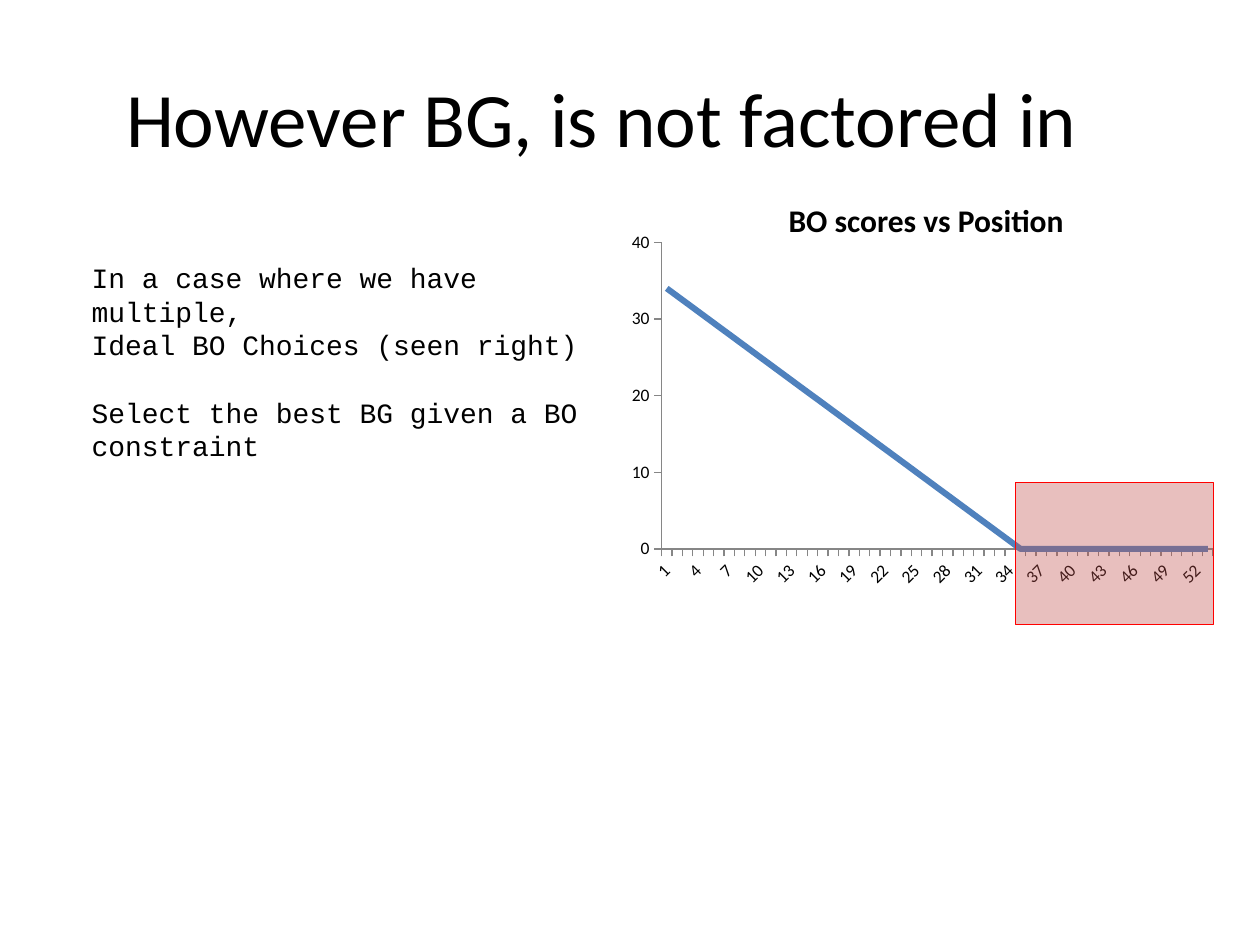
import dataclasses

import pptx
import pptx.chart.data
import pptx.dml.color
import pptx.enum.chart
import pptx.enum.shapes
import pptx.enum.text
import pptx.oxml
import pptx.oxml.ns
import pptx.util
from pptx.util import Inches


@dataclasses.dataclass(frozen=True)
class Theme:
    text: str = "000000"
    series: str = "4F81BD"
    axis: str = "868686"
    zone_fill: str = "C0504D"
    zone_line: str = "FF0000"
    title_size: int = 44
    heading_size: int = 18
    body_size: int = 16
    chart_size: int = 10
    font: str = "Calibri"
    body_font: str = "Courier New"


theme = Theme()


def color(code):
    return pptx.dml.color.RGBColor.from_string(code)


def write(frame, lines, size, font=theme.font, bold=False, align=None, gap_before=()):
    """Fill a text frame; gap_before lists the line numbers set off by one line of space."""
    for number, line in enumerate(lines):
        para = frame.paragraphs[0] if number == 0 else frame.add_paragraph()
        para.alignment = align
        if number in gap_before:
            para.space_before = pptx.util.Pt(size * 1.2)
        span = para.add_run()
        span.text = line
        span.font.size = pptx.util.Pt(size)
        span.font.name = font
        span.font.bold = bold
        span.font.color.rgb = color(theme.text)


deck = pptx.Presentation()
deck.slide_width, deck.slide_height = Inches(10), Inches(7.5)
page = deck.slides.add_slide(deck.slide_layouts.get_by_name("Title Only"))

# Title
title = page.shapes.title
title.left, title.top, title.width, title.height = (
    Inches(0.5), Inches(0.3), Inches(9), Inches(1.25))
title.text_frame.vertical_anchor = pptx.enum.text.MSO_ANCHOR.MIDDLE
write(title.text_frame, ["However BG, is not factored in\t"], theme.title_size,
      align=pptx.enum.text.PP_ALIGN.CENTER)

# Score falls by one per position until it reaches zero
positions = range(1, 54)
data = pptx.chart.data.CategoryChartData()
data.categories = [str(position) for position in positions]
data.add_series("Series 1", [max(35 - position, 0) for position in positions])
chart = page.shapes.add_chart(
    pptx.enum.chart.XL_CHART_TYPE.LINE,
    Inches(4.89), Inches(1.72), Inches(4.94), Inches(2.96), data).chart
chart.has_legend = False
chart.has_title = False
chart.font.size = pptx.util.Pt(theme.chart_size)
chart.font.name = theme.font
chart.font.color.rgb = color(theme.text)
chart.plots[0].vary_by_categories = False

series = chart.plots[0].series[0]
series.smooth = False
series.marker.style = pptx.enum.chart.XL_MARKER_STYLE.NONE
series.format.line.color.rgb = color(theme.series)
series.format.line.width = pptx.util.Pt(3.5)

for axis in (chart.category_axis, chart.value_axis):
    axis.has_major_gridlines = False
    axis.major_tick_mark = pptx.enum.chart.XL_TICK_MARK.OUTSIDE
    axis.format.line.color.rgb = color(theme.axis)
    axis.tick_labels.font.size = pptx.util.Pt(theme.chart_size)
chart.value_axis.minimum_scale = 0
chart.value_axis.maximum_scale = 40
chart.value_axis.major_unit = 10
label_body = chart.category_axis._element.find(".//" + pptx.oxml.ns.qn("a:bodyPr"))
label_body.set("rot", str(-45 * 60000))

plot_area = chart._chartSpace.chart.plotArea
for old_layout in plot_area.findall(pptx.oxml.ns.qn("c:layout")):
    plot_area.remove(old_layout)
plot_area.insert(0, pptx.oxml.parse_xml(
    f'<c:layout {pptx.oxml.ns.nsdecls("c")}><c:manualLayout>'
    '<c:layoutTarget val="inner"/><c:xMode val="edge"/><c:yMode val="edge"/>'
    '<c:x val="0.073"/><c:y val="0.069"/><c:w val="0.886"/><c:h val="0.822"/>'
    '</c:manualLayout></c:layout>'))

# Explanation on the left
box = page.shapes.add_textbox(Inches(0.63), Inches(2.02), Inches(4.3), Inches(1.45))
box.text_frame.word_wrap = True
write(box.text_frame,
      ["In a case where we have multiple,",
       "Ideal BO Choices (seen right)",
       "Select the best BG given a BO constraint"],
      theme.body_size, font=theme.body_font, gap_before=(2,))

# Chart heading
heading = page.shapes.add_textbox(Inches(6.16), Inches(1.55), Inches(2.42), Inches(0.4))
heading.text_frame.word_wrap = False
write(heading.text_frame, ["BO scores vs Position"], theme.heading_size, bold=True)

# Translucent zone over the zero scores
zone = page.shapes.add_shape(
    pptx.enum.shapes.MSO_SHAPE.RECTANGLE,
    Inches(8.06), Inches(3.83), Inches(1.57), Inches(1.13))
zone.shadow.inherit = False
zone.fill.solid()
zone.fill.fore_color.rgb = color(theme.zone_fill)
zone.line.color.rgb = color(theme.zone_line)
zone.line.width = pptx.util.Pt(0.75)
fill_color = zone._element.spPr.find(
    pptx.oxml.ns.qn("a:solidFill")).find(pptx.oxml.ns.qn("a:srgbClr"))
fill_color.append(pptx.oxml.parse_xml(
    f'<a:alpha {pptx.oxml.ns.nsdecls("a")} val="36000"/>'))

deck.save("out.pptx")
